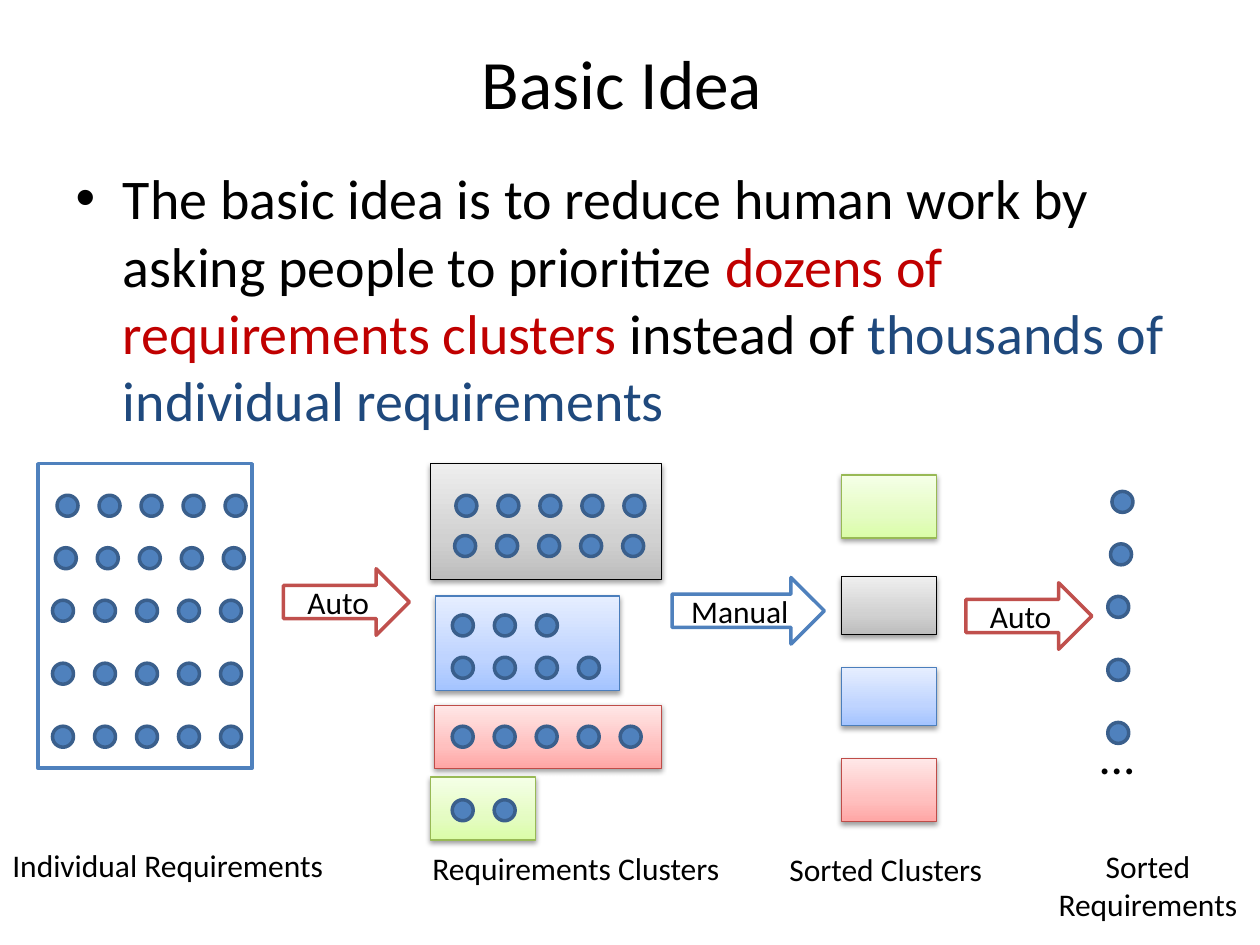
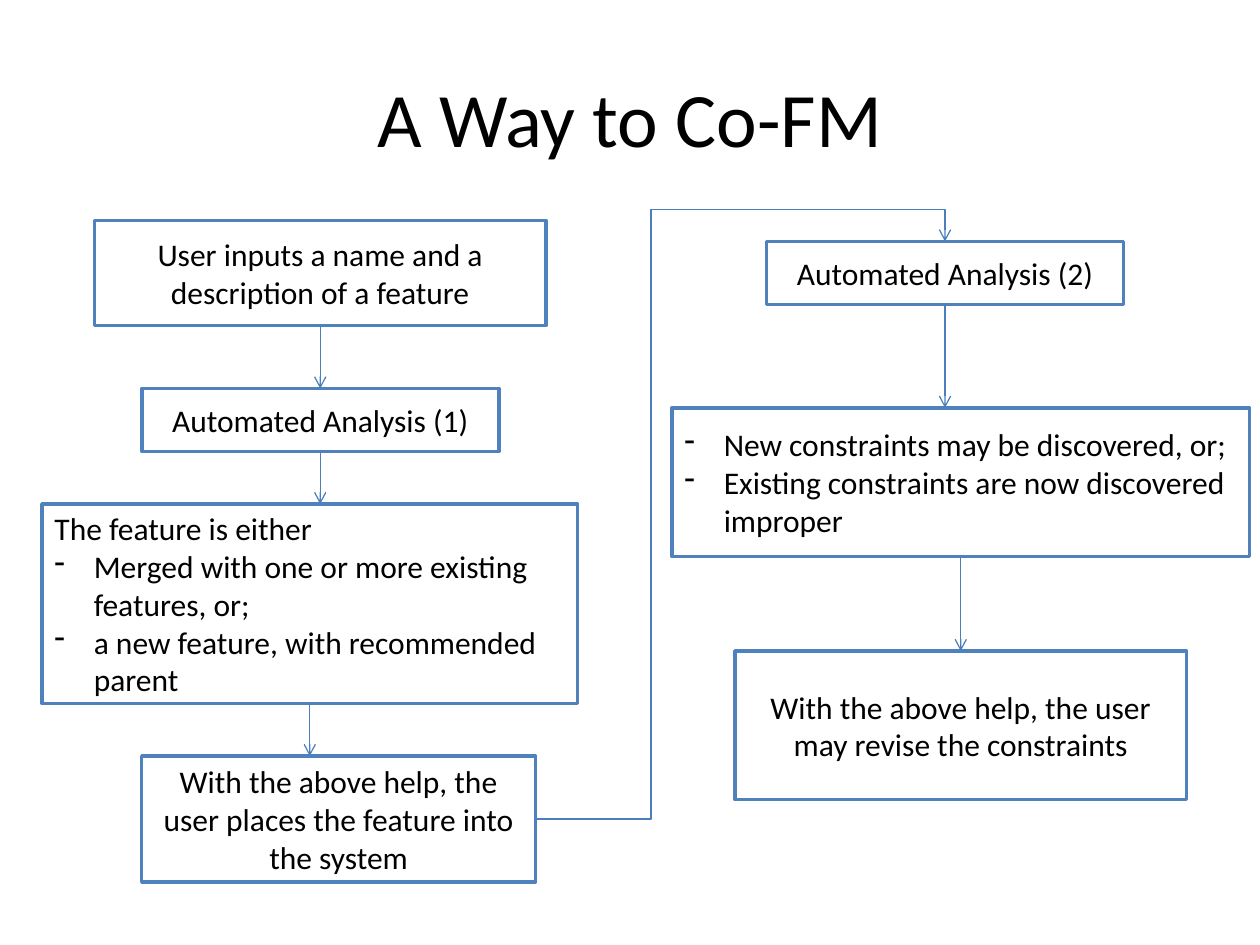
from dataclasses import dataclass

from pptx import Presentation
from pptx.dml.color import RGBColor
from pptx.enum import shapes, text
from pptx.oxml import parse_xml
from pptx.oxml.ns import nsdecls, qn
from pptx.util import Pt

KIND = shapes.MSO_SHAPE
ALIGN = text.PP_ALIGN
MIDDLE = text.MSO_ANCHOR.MIDDLE


@dataclass(frozen=True)
class Theme:
    font: str = "Calibri"
    ink: str = "000000"
    paper: str = "FFFFFF"
    blue: str = "4F81BD"
    red: str = "C0504D"
    rim: str = "3A5F8C"
    link: str = "4B7EBC"
    strong: str = "C00000"
    navy: str = "1F497D"
    title: float = 44
    small_title: float = 39.6
    body: float = 32
    label: float = 18
    more: float = 28
    thick: float = 2
    thin: float = 0.75


T = Theme()

# Each tint: outline, then gradient colours from bottom to top
TINTS = {
    "gray": ("000000", "BDBDBD", "D1D1D1", "EEEEEE"),
    "blue": ("4B7EBC", "A4C4FF", "BFD4FF", "E6EEFF"),
    "red": ("BF4C48", "FFA6A5", "FFC0BF", "FFE7E7"),
    "green": ("98B955", "DAFDA7", "E4FCC2", "F5FFE7"),
}
DOT, PITCH = 12, 24


def rgb(code):
    return RGBColor.from_string(code)


def place(item, box):
    item.left, item.top, item.width, item.height = map(Pt, box)


def add_run(para, words, size, color=T.ink):
    run = para.add_run()
    run.text = words
    font = run.font
    font.name, font.size = T.font, Pt(size)
    font.color.rgb = rgb(color)


def add_dash(para):
    """Give a paragraph a hanging dash."""
    props = para._p.get_or_add_pPr()
    props.set("marL", str(Pt(22.5)))
    props.set("indent", str(-Pt(22.5)))
    props.append(parse_xml(f'<a:buFontTx {nsdecls("a")}/>'))
    props.append(parse_xml(f'<a:buChar {nsdecls("a")} char="-"/>'))


def add_shape(slide, kind, box, line, fill=T.paper, width=T.thick):
    shape = slide.shapes.add_shape(kind, *map(Pt, box))
    shape.shadow.inherit = False
    shape.fill.solid()
    shape.fill.fore_color.rgb = rgb(fill)
    shape.line.color.rgb = rgb(line)
    shape.line.width = Pt(width)
    return shape


def set_title(slide, words, box, size):
    title = slide.shapes.title
    place(title, box)
    frame = title.text_frame
    frame.vertical_anchor = MIDDLE
    para = frame.paragraphs[0]
    para.alignment = ALIGN.CENTER
    add_run(para, words, size)


def add_label(slide, words, box, size=T.label, wrap=False):
    frame = slide.shapes.add_textbox(*map(Pt, box)).text_frame
    frame.word_wrap = wrap
    para = frame.paragraphs[0]
    para.alignment = ALIGN.CENTER if wrap else ALIGN.LEFT
    add_run(para, words, size)


def add_dots(slide, box, rows):
    """Draw rows of (count, x, y), measured from the corner of the box."""
    for count, x, y in rows:
        for i in range(count):
            spot = (box[0] + x + i * PITCH, box[1] + y, DOT, DOT)
            add_shape(slide, KIND.OVAL, spot, T.rim, T.blue)


def add_cluster(slide, tint, box, rows=()):
    line, *tones = TINTS[tint]
    shape = add_shape(slide, KIND.RECTANGLE, box, line, width=T.thin)
    shape.fill.gradient()
    shape.fill.gradient_angle = 90
    props = shape._element.spPr
    stops = props.find(".//" + qn("a:gsLst"))
    for stop in list(stops):
        stops.remove(stop)
    for spot, tone in zip((0, 35, 100), tones):
        stops.append(parse_xml(
            f'<a:gs {nsdecls("a")} pos="{spot * 1000}">'
            f'<a:srgbClr val="{tone}"/></a:gs>'))
    props.find(qn("a:effectLst")).append(parse_xml(
        f'<a:outerShdw {nsdecls("a")} blurRad="{Pt(3.1)}" dist="{Pt(1.6)}" '
        'dir="5400000" rotWithShape="0"><a:srgbClr val="000000">'
        '<a:alpha val="38000"/></a:srgbClr></a:outerShdw>'))
    add_dots(slide, box, rows)


def add_step(slide, words, box, line):
    arrow = add_shape(slide, KIND.RIGHT_ARROW, box, line)
    frame = arrow.text_frame
    frame.vertical_anchor = MIDDLE
    para = frame.paragraphs[0]
    para.alignment = ALIGN.CENTER
    add_run(para, words, T.label)


def draw_input(slide, box):
    add_shape(slide, KIND.RECTANGLE, box, T.blue)
    add_dots(slide, box, [(5, 11, 18), (5, 10, 48), (5, 8.4, 78),
                          (5, 8.4, 114), (5, 8.4, 150)])
    add_label(slide, "Individual Requirements", (0, box[1] + 215, 194.5, 29))


def draw_groups(slide, left, top):
    for tint, x, y, w, h, rows in (
        ("gray", 0, 0, 132, 66, [(5, 14.5, 18), (5, 13.8, 41)]),
        ("blue", 3, 75.6, 105, 54, [(3, 9.5, 10.8), (4, 9.5, 35)]),
        ("red", 2.4, 138, 129.6, 36, [(5, 10, 12)]),
        ("green", 0, 179, 60, 36, [(2, 12.4, 13)]),
    ):
        add_cluster(slide, tint, (left + x, top + y, w, h), rows)
    add_label(slide, "Requirements Clusters", (left - 6, top + 216.5, 180, 29))


def draw_ranks(slide, left, top):
    for tint, y, h in (("green", 0, 36), ("gray", 58, 33),
                       ("blue", 110, 33), ("red", 162, 36)):
        add_cluster(slide, tint, (left, top + y, 54, h))
    add_label(slide, "Sorted Clusters", (left - 37, top + 210.5, 126, 29))


def draw_output(slide, left, top):
    add_dots(slide, (left, top),
             [(1, 2.4, 0), (1, 1.6, 30), (1, 0, 60), (1, 0, 96), (1, 0, 132)])
    add_label(slide, "…", (left - 11.5, top + 130.5, 34, 41), T.more)
    add_label(slide, "Sorted Requirements",
              (left - 41, top + 199.5, 128, 51), wrap=True)


def idea_slide(deck):
    slide = deck.slides.add_slide(deck.slide_layouts[1])
    set_title(slide, "Basic Idea ", (36, 21.6, 648, 50.4), T.small_title)
    body = slide.placeholders[1]
    place(body, (36, 90, 648, 174))
    para = body.text_frame.paragraphs[0]
    para.space_before = Pt(0)
    for words, color in (
        ("The basic idea is to reduce human work by asking people to "
         "prioritize ", T.ink),
        ("dozens of requirements clusters", T.strong),
        (" instead of ", T.ink),
        ("thousands of individual requirements", T.navy),
    ):
        add_run(para, words, T.body, color)
    draw_input(slide, (21.6, 265, 122.4, 174))
    add_step(slide, "Auto", (162, 325, 72, 38), T.red)
    draw_groups(slide, 246, 265)
    add_step(slide, "Manual", (384, 330, 87, 38), T.blue)
    draw_ranks(slide, 481, 271.5)
    add_step(slide, "Auto", (552, 333, 72, 38), T.red)
    draw_output(slide, 633, 280.8)


def add_box(slide, box, intro="", dashes=()):
    """Draw a flow box; dashed items align left, plain text is centred."""
    shape = add_shape(slide, KIND.RECTANGLE, box, T.blue)
    frame = shape.text_frame
    frame.vertical_anchor = MIDDLE
    lines = [(intro, False)] if intro else []
    lines += [(item, True) for item in dashes]
    for i, (words, dashed) in enumerate(lines):
        para = frame.add_paragraph() if i else frame.paragraphs[0]
        if dashed:
            add_dash(para)
        para.alignment = ALIGN.LEFT if dashes else ALIGN.CENTER
        add_run(para, words, T.label)
    return shape


def add_link(slide, kind, start, end):
    link = slide.shapes.add_connector(kind, *start, *end)
    link.line.color.rgb = rgb(T.link)
    link.line.width = Pt(T.thin)
    link.line._get_or_add_ln().append(
        parse_xml(f'<a:tailEnd {nsdecls("a")} type="arrow"/>'))
    link._element.spPr.append(parse_xml(f'<a:effectLst {nsdecls("a")}/>'))
    return link


def middle(box):
    return box.left + box.width // 2


def link_down(slide, boxes):
    for upper, lower in zip(boxes, boxes[1:]):
        x = middle(upper)
        add_link(slide, shapes.MSO_CONNECTOR.STRAIGHT,
                 (x, upper.top + upper.height), (x, lower.top))


def link_over(slide, last, first):
    """Lead from the side of one box up and over to the top of another."""
    link = add_link(slide, shapes.MSO_CONNECTOR.ELBOW,
                    (last.left + last.width, last.top + last.height // 2),
                    (middle(first), first.top))
    shape = link._element.spPr.find(qn("a:prstGeom"))
    shape.set("prst", "bentConnector4")
    for old in list(shape):
        shape.remove(old)
    shape.append(parse_xml(
        f'<a:avLst {nsdecls("a")}><a:gd name="adj1" fmla="val 28200"/>'
        '<a:gd name="adj2" fmla="val 105500"/></a:avLst>'))


def way_slide(deck):
    slide = deck.slides.add_slide(deck.slide_layouts[5])
    set_title(slide, "A Way to Co-FM", (36, 21.6, 648, 90), T.title)
    left = [add_box(slide, *parts) for parts in (
        ((54, 126, 258, 60),
         "User inputs a name and a description of a feature"),
        ((81, 222, 204, 36), "Automated Analysis (1)"),
        ((24, 288, 306, 114), "The feature is either",
         ("Merged with one or more existing features, or;",
          "a new feature, with recommended parent")),
        ((81, 432, 225, 72),
         "With the above help, the user places the feature into the system"),
    )]
    right = [add_box(slide, *parts) for parts in (
        ((438, 138, 204, 36), "Automated Analysis (2)"),
        ((384, 233, 330, 85), "",
         ("New constraints may be discovered, or;",
          "Existing constraints are now discovered improper")),
        ((420, 372, 258, 85),
         "With the above help, the user may revise the constraints"),
    )]
    link_down(slide, left)
    link_down(slide, right)
    link_over(slide, left[-1], right[0])


def main():
    deck = Presentation()
    deck.slide_width, deck.slide_height = Pt(720), Pt(540)
    idea_slide(deck)
    way_slide(deck)
    deck.save("out.pptx")


if __name__ == "__main__":
    main()
